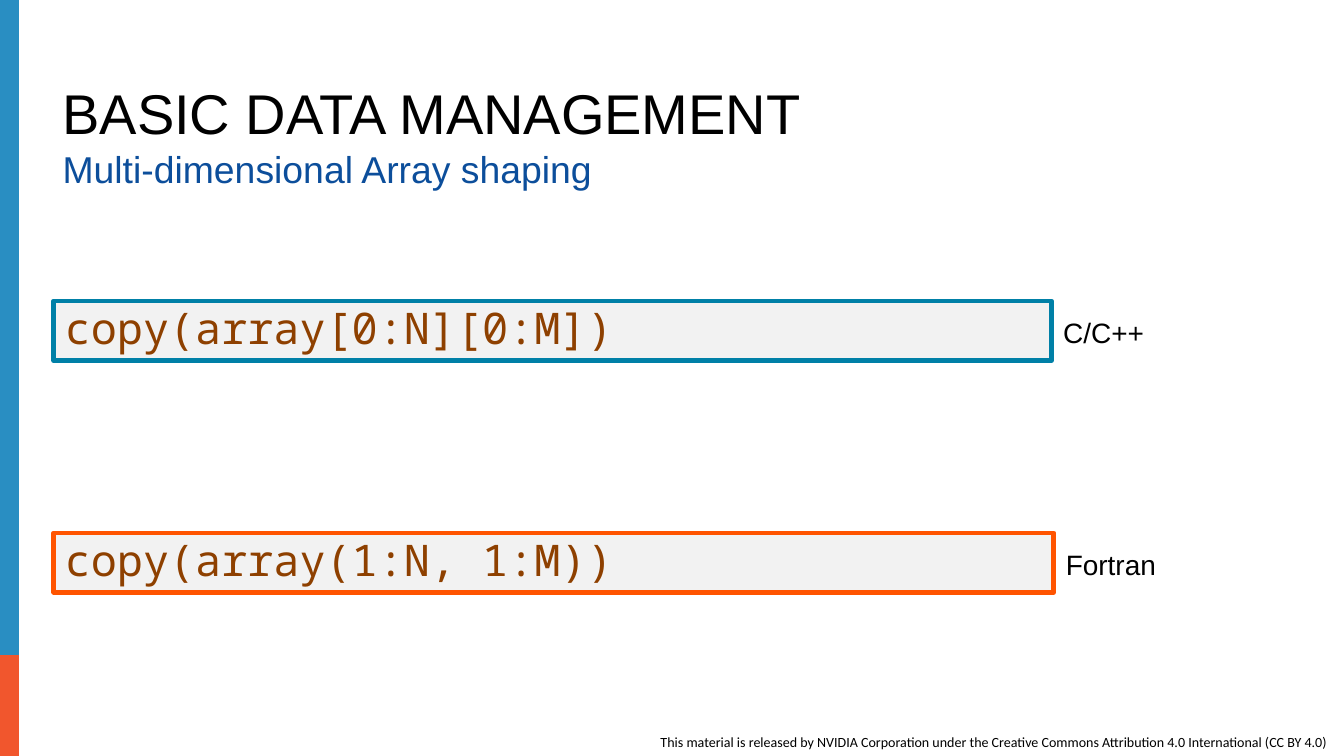
"""Build a slide on shaping multi-dimensional arrays in C/C++ and Fortran."""
from pptx import Presentation
from pptx import util as u
from pptx.dml.color import RGBColor
from pptx.enum import shapes, text


def color(value):
    return RGBColor.from_string(value)


def write(box, content, size, ink="000000", font="Arial", align="LEFT",
          anchor="MIDDLE", spacing=0.9, wrap=True):
    frame = box.text_frame
    frame.word_wrap = wrap
    frame.vertical_anchor = text.MSO_ANCHOR[anchor]
    para = frame.paragraphs[0]
    para.alignment = text.PP_ALIGN[align]
    para.line_spacing = spacing
    span = para.add_run()
    span.text = content
    span.font.size = u.Pt(size)
    span.font.name = font
    span.font.color.rgb = color(ink)


deck = Presentation()
deck.slide_width, deck.slide_height = u.Cm(30.48), u.Cm(17.15)
page = deck.slides.add_slide(deck.slide_layouts[6])

license_box = page.shapes.add_textbox(u.Cm(14.73), u.Cm(16.51), u.Cm(15.7), u.Cm(0.64))
write(license_box, "This material is released by NVIDIA Corporation under the "
      "Creative Commons Attribution 4.0 International (CC BY 4.0)",
      9, font="Calibri", anchor="TOP", spacing=1.0, wrap=False)

for top, height, fill in ((12.88, 4.27, "F1562D"), (0, 14.86, "298EC2")):
    bar = page.shapes.add_shape(shapes.MSO_SHAPE.RECTANGLE, u.Cm(-0.08), u.Cm(top),
                                u.Cm(0.51), u.Cm(height))
    bar.shadow.inherit = False
    bar.fill.solid()
    bar.fill.fore_color.rgb = color(fill)
    bar.line.fill.background()

title = page.shapes.add_textbox(u.Cm(1.17), u.Cm(1.8), u.Cm(27.71), u.Cm(1.65))
write(title, "BASIC DATA MANAGEMENT", 36, anchor="BOTTOM")
subtitle = page.shapes.add_textbox(u.Cm(1.17), u.Cm(3.3), u.Cm(27.71), u.Cm(1.45))
write(subtitle, "Multi-dimensional Array shaping", 24, ink="0C4E9B", anchor="TOP")

left = 1.22
examples = (
    ("copy(array[0:N][0:M])", "C/C++", "0080A7", 6.83, 22.63, 2.36),
    ("copy(array(1:N, 1:M))", "Fortran", "FF5400", 12.09, 22.68, 2.59),
)
for code, language, outline, top, width, label_width in examples:
    panel = page.shapes.add_shape(shapes.MSO_SHAPE.RECTANGLE, u.Cm(left), u.Cm(top),
                                  u.Cm(width), u.Cm(1.35))
    panel.shadow.inherit = False
    panel.fill.solid()
    panel.fill.fore_color.rgb = color("F2F2F2")
    panel.line.color.rgb = color(outline)
    panel.line.width = u.Pt(3)
    write(panel, code, 28, ink="8E4000", font="Noto Sans Mono")
    label = page.shapes.add_textbox(u.Cm(left + width), u.Cm(top + 0.29),
                                    u.Cm(label_width), u.Cm(0.94))
    write(label, language, 18, align="CENTER", wrap=False)

deck.save("out.pptx")
